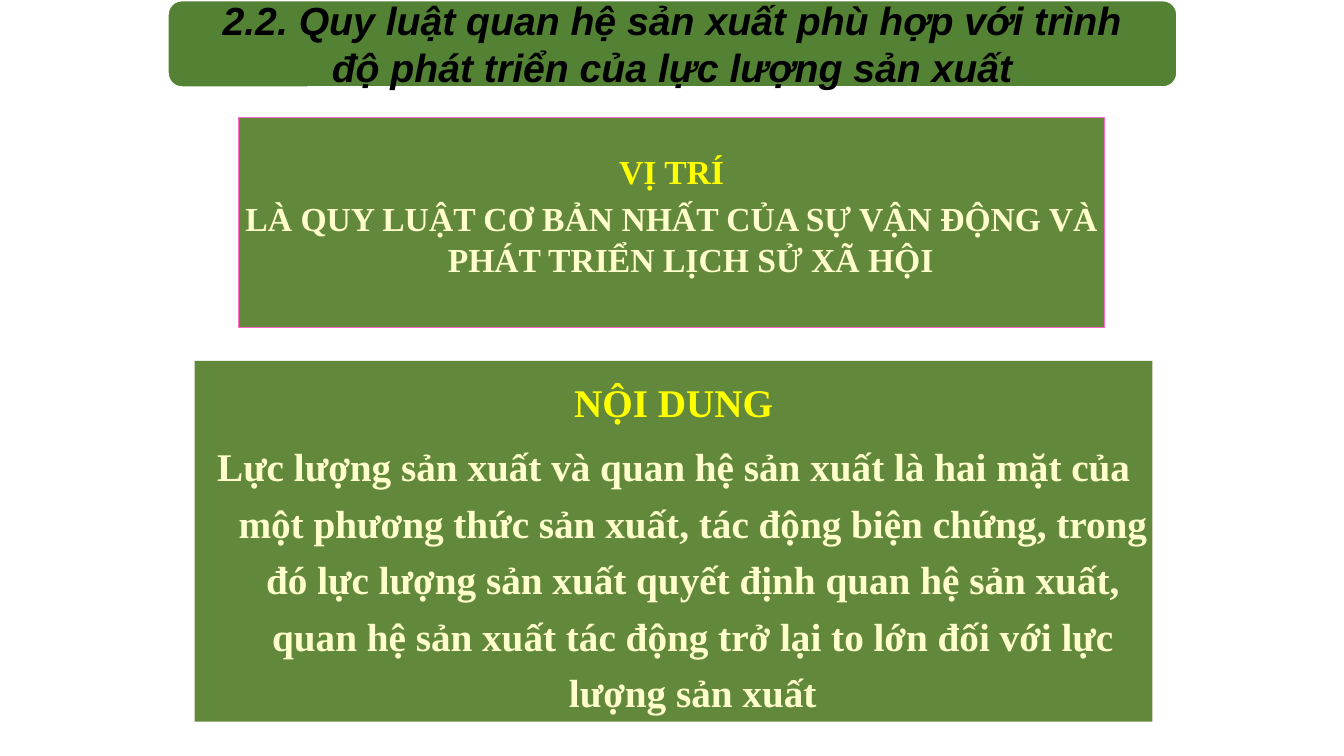
from dataclasses import dataclass

from lxml.etree import SubElement
from pptx import Presentation
from pptx.dml.color import RGBColor
from pptx.enum.shapes import MSO_SHAPE
from pptx.enum.text import MSO_ANCHOR, PP_ALIGN
from pptx.oxml.ns import qn
from pptx.util import Inches, Pt

SLIDE_WIDTH, SLIDE_HEIGHT = Inches(13.33), Inches(7.5)
HANGING = Inches(0.38)
TITLE_GREEN, PANEL_GREEN = "548235", "336600"
YELLOW, CREAM = "FFFF00", "FFFFCC"


@dataclass(frozen=True)
class Line:
    text: str
    size: float
    color: str
    font: str = "Times New Roman"
    italic: bool = False
    hanging: bool = True
    spacing: float = 1.0


@dataclass(frozen=True)
class Panel:
    # left, top, width, height in percent of the slide
    area: tuple[float, float, float, float]
    fill: str
    geometry: MSO_SHAPE = MSO_SHAPE.RECTANGLE
    opacity: int = 100
    outline: str | None = None
    outline_width: float = 0
    anchor: MSO_ANCHOR = MSO_ANCHOR.TOP
    side_inset: float = 0
    top_inset: float = 0
    lines: tuple[Line, ...] = ()


PANELS = (
    # Title banner and its text
    Panel((12.45, 0, 75.17, 11.6), TITLE_GREEN, MSO_SHAPE.ROUNDED_RECTANGLE,
          outline="FFFFFF", outline_width=2),
    Panel((12.98, 0.53, 74.04, 10.53), TITLE_GREEN,
          anchor=MSO_ANCHOR.MIDDLE, side_inset=0.24, lines=(
              Line("2.2. Quy luật quan hệ sản xuất phù hợp với trình độ phát triển "
                   "của lực lượng sản xuất",
                   28, "000000", "Arial", italic=True, hanging=False),)),
    # Content of the law
    Panel((14.48, 47.73, 71.27, 47.73), PANEL_GREEN, opacity=77, top_inset=0.08, lines=(
        Line("NỘI DUNG", 28, YELLOW, spacing=1.2),
        Line("Lực lượng sản xuất và quan hệ sản xuất là hai mặt của một phương thức "
             "sản xuất, tác động biện chứng, trong đó lực lượng sản xuất quyết định "
             "quan hệ sản xuất, quan hệ sản xuất tác động trở lại to lớn đối với "
             "lực lượng sản xuất", 28, CREAM, spacing=1.2))),
    # Position of the law
    Panel((17.78, 15.6, 64.37, 27.73), PANEL_GREEN, opacity=77,
          outline="FF66CC", outline_width=0.75, top_inset=0.33, lines=(
              Line("VỊ TRÍ", 24, YELLOW),
              Line("LÀ QUY LUẬT CƠ BẢN NHẤT CỦA SỰ VẬN ĐỘNG VÀ PHÁT TRIỂN "
                   "LỊCH SỬ XÃ HỘI", 24, CREAM))),
)


def paint(color_format, color: str) -> None:
    color_format.rgb = RGBColor.from_string(color)


def set_attributes(target, values: dict) -> None:
    for name, value in values.items():
        setattr(target, name, value)


def write_line(paragraph, line: Line, is_first: bool) -> None:
    set_attributes(paragraph, {
        "alignment": PP_ALIGN.CENTER,
        "line_spacing": line.spacing,
        "space_before": Pt(0 if is_first else line.size * 0.2),
    })
    if line.hanging:
        properties = paragraph._p.get_or_add_pPr()
        properties.set("marL", str(HANGING))
        properties.set("indent", str(-HANGING))
    run = paragraph.add_run()
    run.text = line.text
    set_attributes(run.font, {"name": line.font, "size": Pt(line.size),
                              "bold": True, "italic": line.italic})
    paint(run.font.color, line.color)


def draw_panel(slide, panel: Panel) -> None:
    left, top, width, height = panel.area
    shape = slide.shapes.add_shape(
        panel.geometry,
        int(SLIDE_WIDTH * left / 100), int(SLIDE_HEIGHT * top / 100),
        int(SLIDE_WIDTH * width / 100), int(SLIDE_HEIGHT * height / 100))
    shape.shadow.inherit = False

    # Fill and outline
    shape.fill.solid()
    paint(shape.fill.fore_color, panel.fill)
    if panel.opacity < 100:
        color = shape._element.spPr.find(qn("a:solidFill")).find(qn("a:srgbClr"))
        SubElement(color, qn("a:alpha")).set("val", str(panel.opacity * 1000))
    if panel.outline:
        paint(shape.line.color, panel.outline)
        shape.line.width = Pt(panel.outline_width)
    else:
        shape.line.fill.background()

    # Text
    frame = shape.text_frame
    set_attributes(frame, {
        "word_wrap": True, "vertical_anchor": panel.anchor,
        "margin_left": Inches(panel.side_inset),
        "margin_right": Inches(panel.side_inset),
        "margin_top": Inches(panel.top_inset), "margin_bottom": 0,
    })
    for index, line in enumerate(panel.lines):
        paragraph = frame.add_paragraph() if index else frame.paragraphs[0]
        write_line(paragraph, line, index == 0)


def main() -> None:
    presentation = Presentation()
    set_attributes(presentation, {"slide_width": SLIDE_WIDTH, "slide_height": SLIDE_HEIGHT})
    slide = presentation.slides.add_slide(presentation.slide_layouts[6])
    for panel in PANELS:
        draw_panel(slide, panel)
    presentation.save("out.pptx")


if __name__ == "__main__":
    main()
